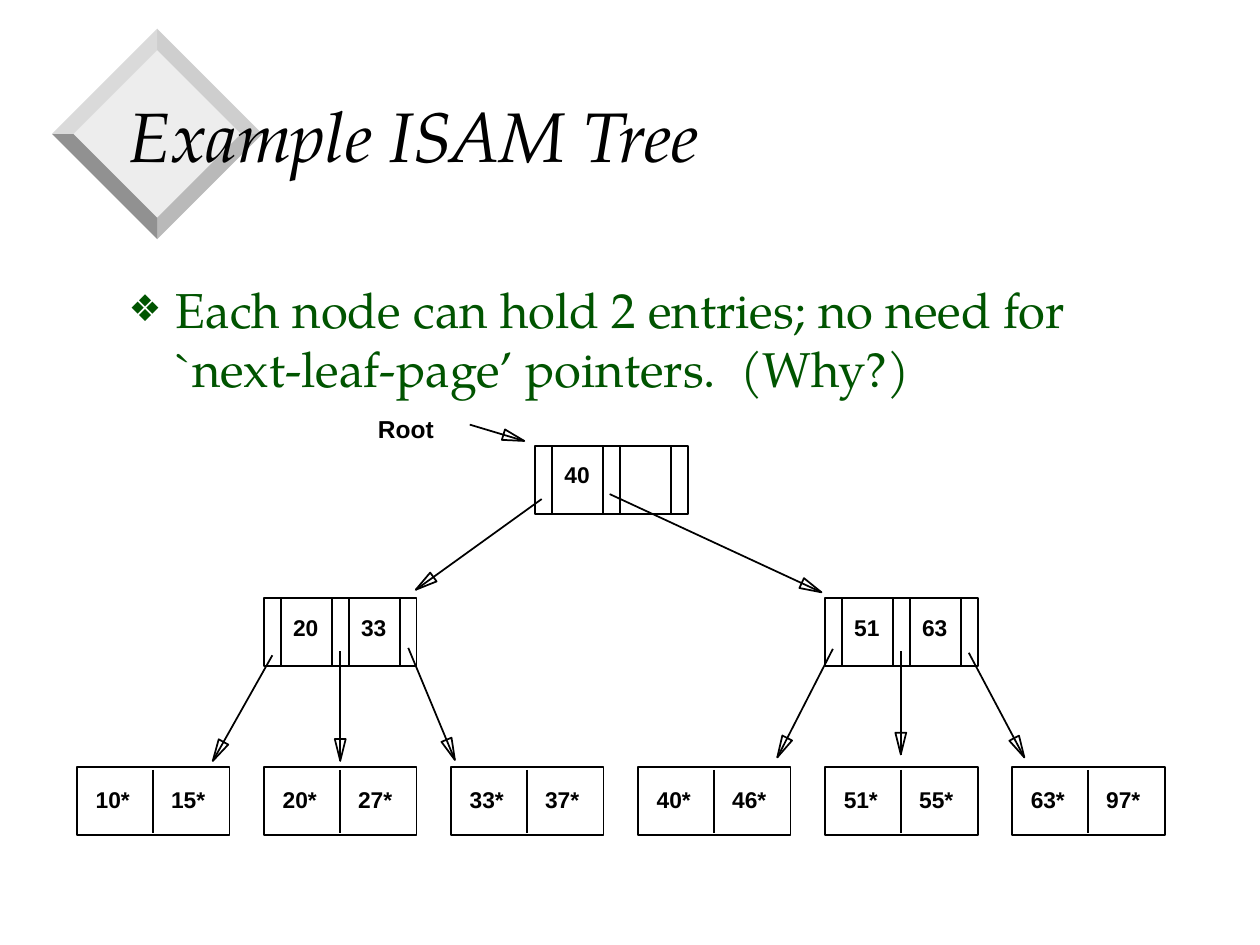
from math import hypot
from typing import NamedTuple

from lxml.etree import SubElement
from pptx import Presentation
from pptx.dml.color import RGBColor
from pptx.enum.shapes import MSO_CONNECTOR, MSO_SHAPE
from pptx.enum.text import MSO_ANCHOR, MSO_AUTO_SIZE, PP_ALIGN
from pptx.oxml.ns import qn
from pptx.util import Cm, Pt

BLACK = RGBColor(0, 0, 0)
GREEN = RGBColor(0x00, 0x54, 0x00)
FACE = RGBColor(0xED, 0xED, 0xED)
# Bevels run clockwise from the top right
BEVELS = [RGBColor(0xCE, 0xCE, 0xCE), RGBColor(0xB9, 0xB9, 0xB9),
          RGBColor(0x91, 0x91, 0x91), RGBColor(0xDA, 0xDA, 0xDA)]
SERIF, SANS = "TeX Gyre Pagella", "Arial"

# Lengths in cm
NODE_W, NODE_H = 3.08, 1.37
SLOT, STEP = 0.34, 1.37           # pointer width, pointer-to-pointer distance
LEAF_X, LEAF_Y, PITCH = 1.55, 15.47, 3.77
HEAD_L, HEAD_W = 0.44, 0.22       # arrowhead length and width


class Node(NamedTuple):
    x: float
    y: float
    keys: tuple


class Arrow(NamedTuple):
    x1: float
    y1: float
    x2: float
    y2: float


LEAVES = [("10*", "15*"), ("20*", "27*"), ("33*", "37*"),
          ("40*", "46*"), ("51*", "55*"), ("63*", "97*")]
NODES = [Node(10.79, 8.99, ("40",)),
         Node(LEAF_X + PITCH, 12.06, ("20", "33")),
         Node(LEAF_X + 4 * PITCH, 12.06, ("51", "63"))]
ARROWS = [Arrow(9.47, 8.56, 10.57, 8.89),
          Arrow(10.92, 10.06, 8.38, 11.89), Arrow(12.29, 9.96, 16.56, 11.94),
          Arrow(5.49, 13.21, 4.29, 15.34), Arrow(6.86, 13.13, 6.86, 15.34),
          Arrow(8.23, 13.06, 9.17, 15.32), Arrow(16.79, 13.08, 15.67, 15.27),
          Arrow(18.16, 13.13, 18.16, 15.21), Arrow(19.53, 13.16, 20.65, 15.27)]

deck = Presentation()
deck.slide_width, deck.slide_height = Cm(25.4), Cm(19.05)
slide = deck.slides.add_slide(deck.slide_layouts[1])
shapes = slide.shapes


def outline(shape) -> None:
    shape.line.color.rgb = BLACK
    shape.line.width = Pt(1)


def polygon(points: list):
    pts = [(Cm(x), Cm(y)) for x, y in points]
    build = shapes.build_freeform(*pts[0], scale=1.0)
    build.add_line_segments(pts[1:], close=True)
    shape = build.convert_to_shape()
    shape.shadow.inherit = False
    return shape


def line(x1: float, y1: float, x2: float, y2: float) -> None:
    rule = shapes.add_connector(MSO_CONNECTOR.STRAIGHT,
                                Cm(x1), Cm(y1), Cm(x2), Cm(y2))
    outline(rule)
    SubElement(rule.line._get_or_add_ln().getparent(), qn("a:effectLst"))


def box(x: float, y: float) -> None:
    rect = shapes.add_shape(MSO_SHAPE.RECTANGLE,
                            Cm(x), Cm(y), Cm(NODE_W), Cm(NODE_H))
    rect.shadow.inherit = False
    rect.fill.background()
    outline(rect)


def label(text: str, x: float, y: float, wide: float, size: int = 13) -> None:
    frame = shapes.add_textbox(Cm(x), Cm(y), Cm(wide), Cm(0.81)).text_frame
    frame.word_wrap = False
    para = frame.paragraphs[0]
    para.text = text
    font = para.font
    font.name, font.size, font.bold = SANS, Pt(size), True
    font.color.rgb = BLACK


def draw_node(node: Node) -> None:
    box(node.x, node.y)
    for dx in (SLOT, STEP, STEP + SLOT, 2 * STEP):
        line(node.x + dx, node.y, node.x + dx, node.y + NODE_H)
    for i, key in enumerate(node.keys):
        label(key, node.x + SLOT + i * STEP, node.y + 0.18, 1.02)


def draw_leaf(x: float, pair: tuple) -> None:
    box(x, LEAF_Y)
    mid = x + NODE_W / 2
    line(mid, LEAF_Y + 0.05, mid, LEAF_Y + NODE_H - 0.05)
    for dx, entry in zip((0.13, 1.65), pair):
        label(entry, x + dx, LEAF_Y + 0.25, 1.19)


def draw_arrow(arrow: Arrow) -> None:
    """Draw a line that runs through a hollow, narrow head to its tip."""
    line(*arrow)
    x1, y1, x2, y2 = arrow
    size = hypot(x2 - x1, y2 - y1)
    ux, uy = (x2 - x1) / size, (y2 - y1) / size
    bx, by = x2 - HEAD_L * ux, y2 - HEAD_L * uy
    dx, dy = -uy * HEAD_W / 2, ux * HEAD_W / 2
    head = polygon([(bx + dx, by + dy), (x2, y2), (bx - dx, by - dy)])
    head.fill.background()
    outline(head)


def draw_gem(front) -> None:
    """Draw the bevelled diamond behind the shape given."""
    def ring(r: float) -> list:
        return [(3.17 + r * dx, 2.7 + r * dy)
                for dx, dy in ((0, -1), (1, 0), (0, 1), (-1, 0))]

    outer, inner = ring(2.12), ring(1.69)
    parts = [(inner, FACE)]
    for i, tone in enumerate(BEVELS):
        j = (i + 1) % 4
        parts.append(([inner[i], outer[i], outer[j], inner[j]], tone))
    for points, tone in parts:
        part = polygon(points)
        part.fill.solid()
        part.fill.fore_color.rgb = tone
        part.line.fill.background()
        front.element.addprevious(part.element)


def fill_holder(holder, text: str, spot: tuple, size: int, tone: RGBColor):
    holder.left, holder.top, holder.width, holder.height = map(Cm, spot)
    frame = holder.text_frame
    frame.auto_size = MSO_AUTO_SIZE.NONE
    frame.word_wrap = True
    para = frame.paragraphs[0]
    para.text = text
    para.alignment = PP_ALIGN.LEFT
    para.space_before = Pt(0)
    font = para.font
    font.name, font.size, font.color.rgb = SERIF, Pt(size), tone
    return para


def add_bullet(para) -> None:
    props = para._p.get_or_add_pPr()
    props.set("marL", str(Cm(0.95)))
    props.set("indent", str(-Cm(0.95)))
    marks = [SubElement(props, qn(tag))
             for tag in ("a:buClr", "a:buSzPct", "a:buChar")]
    SubElement(marks[0], qn("a:srgbClr")).set("val", str(GREEN))
    marks[1].set("val", "75000")
    marks[2].set("char", "❖")
    font = props.find(qn("a:defRPr"))
    if font is not None:
        props.append(font)


title, body = shapes.title, slide.placeholders[1]
head = fill_holder(title, "Example ISAM Tree", (2.34, 1.17, 21.59, 3.07), 40, BLACK)
head.font.italic = True
title.text_frame.vertical_anchor = MSO_ANCHOR.MIDDLE
add_bullet(fill_holder(
    body, "Each node can hold 2 entries; no need for `next-leaf-page’ pointers.  (Why?)",
    (2.34, 5.51, 21.59, 11.33), 28, GREEN))
draw_gem(title)

for i, pair in enumerate(LEAVES):
    draw_leaf(LEAF_X + i * PITCH, pair)
for node in NODES:
    draw_node(node)
for arrow in ARROWS:
    draw_arrow(arrow)
label("Root", 7.37, 8.23, 1.65, 14)

deck.save("out.pptx")
